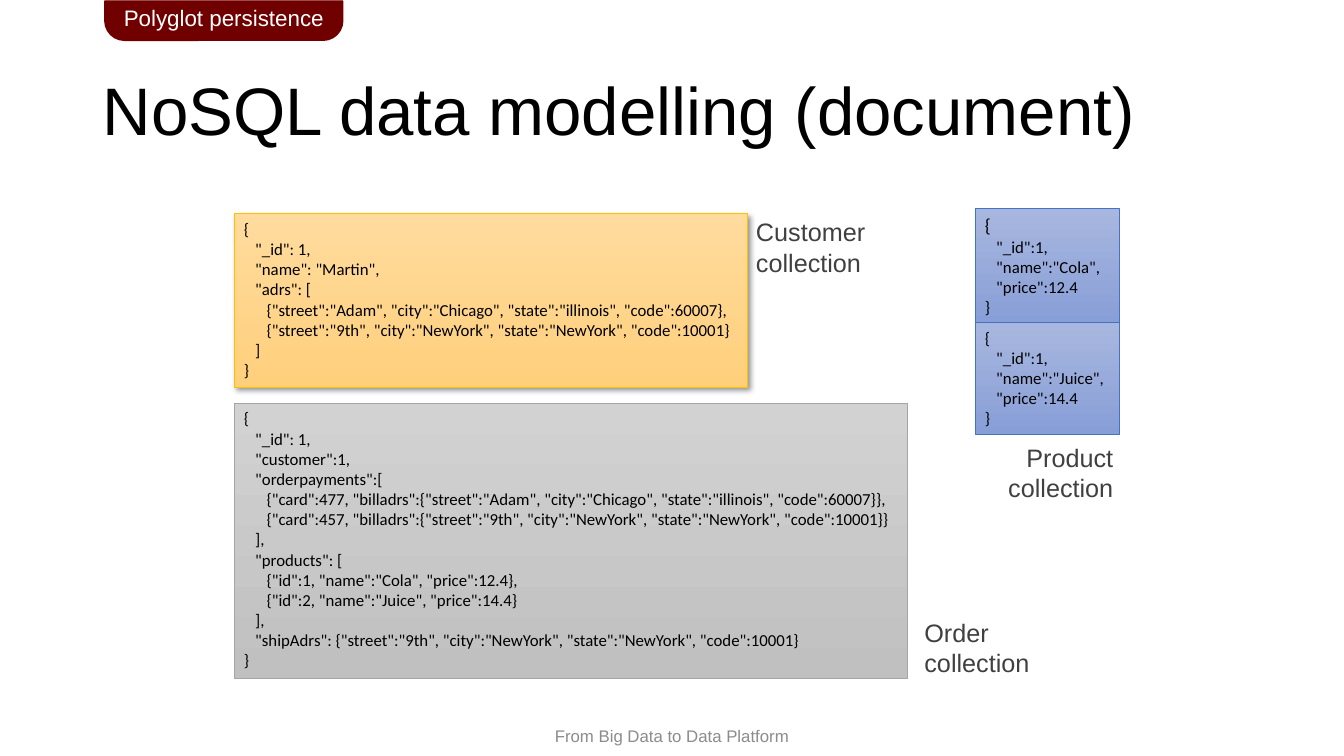
from pptx import Presentation
from pptx.dml.color import RGBColor
from pptx.enum import shapes, text
from pptx.oxml import parse_xml
from pptx.oxml.ns import nsdecls
from pptx.util import Inches, Pt

TITLE = "NoSQL data modelling (document)"
SECTION = "Polyglot persistence"
FOOTER = "From Big Data to Data Platform"

CUSTOMER = """{
   "_id": 1,
   "name": "Martin",
   "adrs": [
      {"street":"Adam", "city":"Chicago", "state":"illinois", "code":60007},
      {"street":"9th", "city":"NewYork", "state":"NewYork", "code":10001}
   ]
}"""
ORDER = """{
   "_id": 1,
   "customer":1,
   "orderpayments":[
      {"card":477, "billadrs":{"street":"Adam", "city":"Chicago", "state":"illinois", "code":60007}},
      {"card":457, "billadrs":{"street":"9th", "city":"NewYork", "state":"NewYork", "code":10001}}
   ],
   "products": [
      {"id":1, "name":"Cola", "price":12.4},
      {"id":2, "name":"Juice", "price":14.4}
   ],
   "shipAdrs": {"street":"9th", "city":"NewYork", "state":"NewYork", "code":10001}
}"""
COLA = """{
   "_id":1,
   "name":"Cola",
   "price":12.4
}"""
JUICE = """{
   "_id":1,
   "name":"Juice",
   "price":14.4
}"""

# gradient top, gradient bottom, outline
GOLD = ("FFDB9E", "FFD07C", "FFC000")
GREY = ("D2D2D2", "C0C0C0", "A5A5A5")
BLUE = ("A8B7DF", "889ED7", "4472C4")

LEFT, CENTER, RIGHT = text.PP_ALIGN.LEFT, text.PP_ALIGN.CENTER, text.PP_ALIGN.RIGHT
TOP, MIDDLE = text.MSO_ANCHOR.TOP, text.MSO_ANCHOR.MIDDLE

DOCUMENTS = [
    (CUSTOMER, (2.32, 2.12, 5.09, 1.72), GOLD),
    (ORDER, (2.32, 4, 6.68, 2.73), GREY),
    (COLA, (9.67, 2.07, 1.43, 1.14), BLUE),
    (JUICE, (9.67, 3.2, 1.43, 1.11), BLUE),
]
LABELS = [
    ("Customer\ncollection", (7.4, 2.1, 1.3, 0.71), LEFT),
    ("Product\ncollection", (9.89, 4.34, 1.25, 0.71), RIGHT),
    ("Order\ncollection", (9.07, 6.07, 1.25, 0.71), LEFT),
]


def rgb(value):
    return RGBColor.from_string(value)


def box(place):
    return [Inches(length) for length in place]


def write(shape, words, size, color, font="Arial", align=LEFT, anchor=TOP, wrap=True):
    frame = shape.text_frame
    frame.text = words
    frame.word_wrap = wrap
    frame.auto_size = text.MSO_AUTO_SIZE.NONE
    frame.vertical_anchor = anchor
    for paragraph in frame.paragraphs:
        paragraph.alignment = align
        paragraph.font.size = Pt(size)
        paragraph.font.name = font
        paragraph.font.color.rgb = rgb(color)
    return frame


def add_document(slide, code, place, colors):
    """Draw one JSON document on a gradient panel."""
    panel = slide.shapes.add_shape(shapes.MSO_SHAPE.RECTANGLE, *box(place))
    panel.shadow.inherit = False
    panel.fill.gradient()
    panel.fill.gradient_angle = 270
    for stop, color in zip(panel.fill.gradient_stops, colors):
        stop.color.rgb = rgb(color)
    panel.fill.gradient_stops[0].position = 0
    panel.fill.gradient_stops[1].position = 1
    panel.line.color.rgb = rgb(colors[2])
    panel.line.width = Pt(0.5)
    write(panel, code, 12, "000000", font="Calibri").margin_right = 0
    return panel


def add_drop_shadow(shape):
    effects = shape._element.spPr.find(
        "{http://schemas.openxmlformats.org/drawingml/2006/main}effectLst")
    effects.append(parse_xml(
        f'<a:outerShdw {nsdecls("a")} blurRad="{Pt(4)}" dist="{Pt(3)}" dir="2700000" '
        'algn="tl" rotWithShape="0"><a:srgbClr val="000000"><a:alpha val="40000"/>'
        '</a:srgbClr></a:outerShdw>'))


def main():
    deck = Presentation()
    deck.slide_width, deck.slide_height = Inches(13.33), Inches(7.5)
    slide = deck.slides.add_slide(deck.slide_layouts[5])

    title = slide.shapes.title
    title.left, title.top, title.width, title.height = box((0.92, 0.4, 11.5, 1.45))
    heading = write(title, TITLE, 48, "000000", anchor=MIDDLE)
    heading.paragraphs[0].line_spacing = 0.9

    footer = slide.shapes.add_textbox(*box((4.79, 7.1, 3.75, 0.4)))
    write(footer, FOOTER, 12, "8C8C8C", align=CENTER, anchor=MIDDLE)

    customer, order, cola, juice = [add_document(slide, *item) for item in DOCUMENTS]
    add_drop_shadow(customer)
    cola.text_frame.paragraphs[0].runs[0].font.size = Pt(13.5)

    for words, place, align in LABELS:
        label = slide.shapes.add_textbox(*box(place))
        write(label, words, 18, "404040", align=align, wrap=False)

    tab = slide.shapes.add_shape(
        shapes.MSO_SHAPE.ROUND_2_SAME_RECTANGLE, *box((1.04, 0.01, 2.36, 0.39)))
    tab.adjustments[0], tab.adjustments[1] = 0, 0.5
    tab.shadow.inherit = False
    tab.fill.solid()
    tab.fill.fore_color.rgb = rgb("700000")
    tab.line.color.rgb = rgb("700000")
    tab.line.width = Pt(1)
    write(tab, SECTION, 16, "FFFFFF", align=CENTER, anchor=MIDDLE)

    deck.save("out.pptx")


if __name__ == "__main__":
    main()
